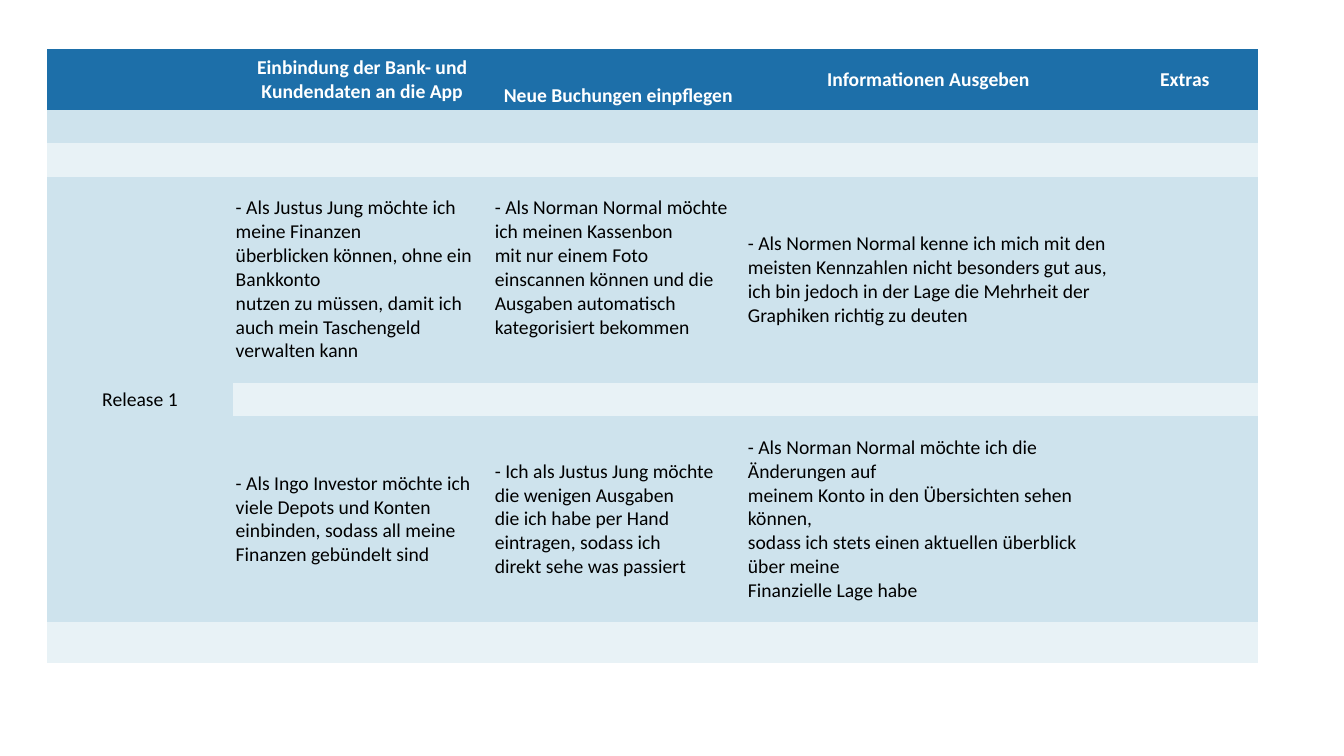
from dataclasses import dataclass

from lxml.etree import SubElement
from pptx import Presentation
from pptx.dml.color import RGBColor
from pptx.enum.text import MSO_ANCHOR as Anchor, PP_ALIGN as Align
from pptx.oxml.ns import qn
from pptx.table import Table, _Cell as Cell
from pptx.util import Pt

FONT, SIZE = "Calibri", 14
HEADER, DARK_BAND, LIGHT_BAND = "1D6FA9", "CEE3ED", "E8F2F6"
WHITE, BLACK = "FFFFFF", "000000"
NO_STYLE = "{2D5ABB26-0587-4C30-8999-92F81FD0307C}"

LEFT, TOP = 33.84, 35.28
COLUMN_WIDTHS = [132.4, 185.1, 180.8, 262.1, 104.3]
ROW_HEIGHTS = [43.4, 23.7, 23.7, 147.4, 23.7, 147.4, 29.2]
ROW_FILLS = [HEADER, DARK_BAND, LIGHT_BAND, DARK_BAND, LIGHT_BAND, DARK_BAND, LIGHT_BAND]
SIDE_INSET, END_INSET = 2.16, 1.44


@dataclass
class Entry:
    row: int
    column: int
    text: str
    align: Align = Align.LEFT
    anchor: Anchor = Anchor.MIDDLE
    color: str = BLACK
    bold: bool = False
    bottom: float = END_INSET


def heading(column: int, text: str, anchor: Anchor = Anchor.MIDDLE) -> Entry:
    return Entry(0, column, text, Align.CENTER, anchor, WHITE, True)


ENTRIES = [
    heading(1, "Einbindung der Bank- und Kundendaten an die App"),
    heading(2, "Neue Buchungen einpflegen", Anchor.BOTTOM),
    heading(3, "Informationen Ausgeben"),
    heading(4, "Extras"),
    Entry(3, 0, "Release 1", Align.CENTER),
    Entry(3, 1, "- Als Justus Jung möchte ich meine Finanzen\n"
                "überblicken können, ohne ein Bankkonto\n"
                "nutzen zu müssen, damit ich auch mein Taschengeld\n"
                "verwalten kann"),
    Entry(3, 2, "- Als Norman Normal möchte ich meinen Kassenbon\n"
                "mit nur einem Foto einscannen können und die\n"
                "Ausgaben automatisch kategorisiert bekommen", bottom=18.5),
    Entry(3, 3, "- Als Normen Normal kenne ich mich mit den\n"
                "meisten Kennzahlen nicht besonders gut aus,\n"
                "ich bin jedoch in der Lage die Mehrheit der\n"
                "Graphiken richtig zu deuten"),
    Entry(5, 1, "- Als Ingo Investor möchte ich viele Depots und Konten\n"
                "einbinden, sodass all meine Finanzen gebündelt sind"),
    Entry(5, 2, "- Ich als Justus Jung möchte die wenigen Ausgaben\n"
                "die ich habe per Hand eintragen, sodass ich\n"
                "direkt sehe was passiert"),
    Entry(5, 3, "- Als Norman Normal möchte ich die Änderungen auf\n"
                "meinem Konto in den Übersichten sehen können,\n"
                "sodass ich stets einen aktuellen überblick über meine\n"
                "Finanzielle Lage habe"),
]


def color_of(value: str) -> RGBColor:
    return RGBColor.from_string(value)


def prepare_cell(cell: Cell, fill: str) -> None:
    cell.fill.solid()
    cell.fill.fore_color.rgb = color_of(fill)
    cell.margin_left = cell.margin_right = Pt(SIDE_INSET)
    cell.margin_top = cell.margin_bottom = Pt(END_INSET)
    # The end mark's size keeps empty rows low
    para = cell.text_frame.paragraphs[0]
    SubElement(para._p, qn("a:endParaRPr"), sz=str(SIZE * 100))


def write_entry(table: Table, entry: Entry) -> None:
    cell = table.cell(entry.row, entry.column)
    cell.vertical_anchor = entry.anchor
    cell.margin_bottom = Pt(entry.bottom)
    para = cell.text_frame.paragraphs[0]
    para.alignment = entry.align
    for number, line in enumerate(entry.text.split("\n")):
        if number:
            para.add_line_break()
        span = para.add_run()
        span.text = line
        span.font.name = FONT
        span.font.size = Pt(SIZE)
        span.font.bold = entry.bold
        span.font.color.rgb = color_of(entry.color)


def add_story_map(page) -> None:
    frame = page.shapes.add_table(
        len(ROW_HEIGHTS), len(COLUMN_WIDTHS), Pt(LEFT), Pt(TOP),
        Pt(sum(COLUMN_WIDTHS)), Pt(sum(ROW_HEIGHTS)))
    table = frame.table
    table.first_row = table.horz_banding = False
    table._tbl.tblPr.find(qn("a:tableStyleId")).text = NO_STYLE
    for column, width in zip(table.columns, COLUMN_WIDTHS):
        column.width = Pt(width)
    # Row bands
    for row, height, fill in zip(table.rows, ROW_HEIGHTS, ROW_FILLS):
        row.height = Pt(height)
        for cell in row.cells:
            prepare_cell(cell, fill)
    # Release label spans both story rows
    table.cell(3, 0).merge(table.cell(5, 0))
    for entry in ENTRIES:
        write_entry(table, entry)


def main() -> None:
    deck = Presentation()
    deck.slide_width, deck.slide_height = Pt(960), Pt(540)
    page = deck.slides.add_slide(deck.slide_layouts[6])
    add_story_map(page)
    deck.save("out.pptx")


if __name__ == "__main__":
    main()
